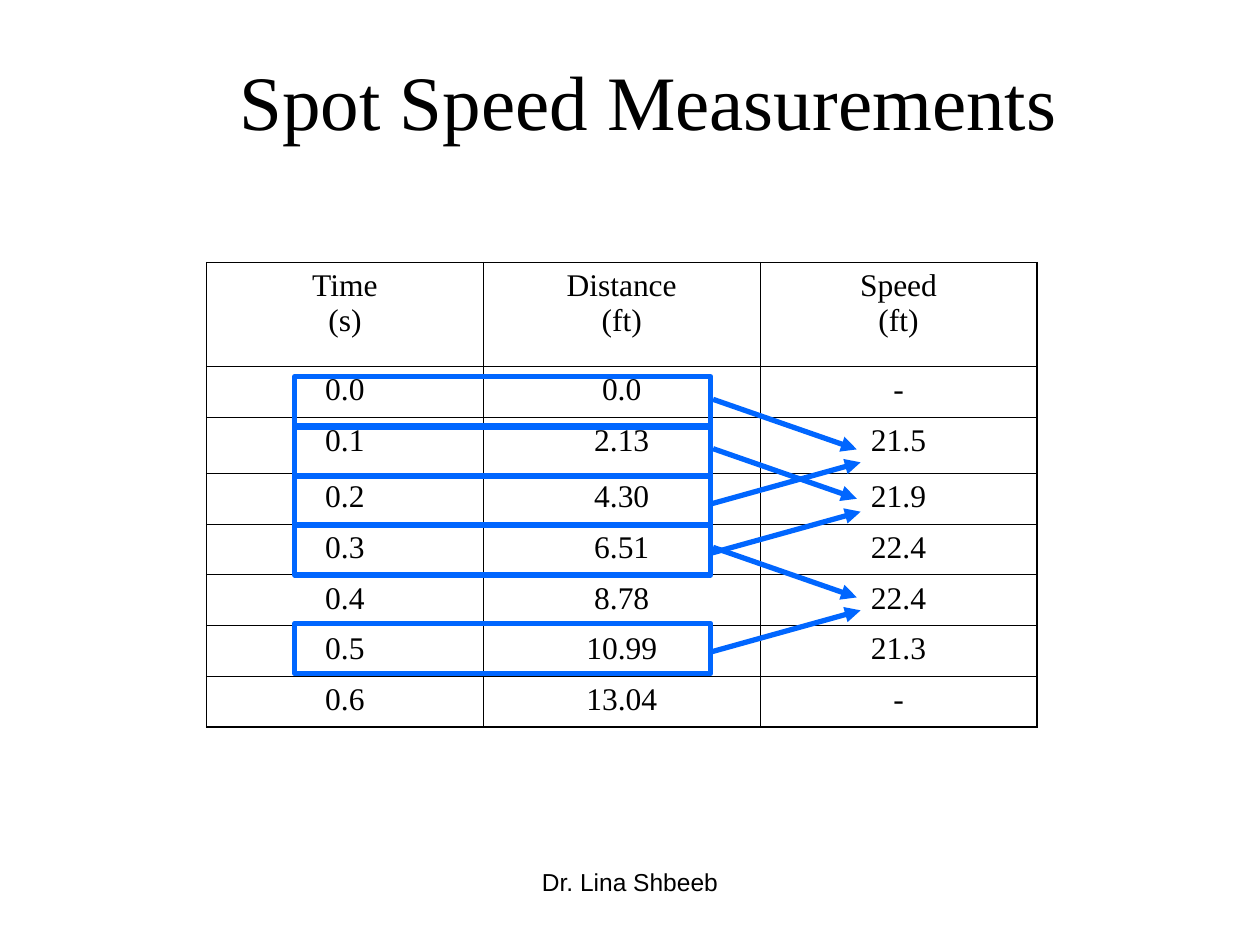
from lxml import etree
from pptx import Presentation
from pptx.dml.color import RGBColor
from pptx.enum import shapes, text
from pptx.oxml import ns
from pptx.util import Pt

TITLE = "Spot Speed Measurements"
FOOTER = "Dr. Lina Shbeeb"
ROWS = [
    ("Time\n(s)", "Distance\n(ft)", "Speed\n(ft)"),
    ("0.0", "0.0", "-"),
    ("0.1", "2.13", "21.5"),
    ("0.2", "4.30", "21.9"),
    ("0.3", "6.51", "22.4"),
    ("0.4", "8.78", "22.4"),
    ("0.5", "10.99", "21.3"),
    ("0.6", "13.04", "-"),
]
ROW_HEIGHTS = [59.4, 29, 32, 29, 29, 29, 29, 29]
COLUMN_WIDTH = 158.2
TABLE_LEFT, TABLE_TOP = 118, 150
OUTER, INNER = 1, 0.25

# Each speed comes from the readings one row before and one row after it.
FIRST_READINGS = [0, 1, 3]
FRAME_LEFT, FRAME_TOP, FRAME_WIDTH, FRAME_HEIGHT = 168.5, 215.2, 237.6, 28.8
FRAME_PITCH = 28.2
ARROWS = [  # start and end, measured from the first reading's frame
    ((407.5, 13), (489.6, 41.6)),
    ((406.1, 72.8), (491.8, 49)),
]

BLACK = RGBColor(0, 0, 0)
BLUE = RGBColor(0x00, 0x66, 0xFF)
SERIF, SANS = "Times New Roman", "Arial"


def write(frame, content, font_name, size):
    frame.text = content
    for para in frame.paragraphs:
        para.alignment = text.PP_ALIGN.CENTER
        for span in para.runs:
            span.font.name = font_name
            span.font.size = Pt(size)
            span.font.color.rgb = BLACK


def add_text(slide, area, content, font_name, size, anchor):
    box = slide.shapes.add_textbox(*map(Pt, area))
    box.text_frame.word_wrap = True
    box.text_frame.vertical_anchor = anchor
    write(box.text_frame, content, font_name, size)


def set_borders(cell, widths):
    """Draw black borders; widths are left, right, top, bottom."""
    properties = cell._tc.get_or_add_tcPr()
    for side, width in zip("LRTB", widths):
        line = etree.SubElement(properties, ns.qn(f"a:ln{side}"), w=str(Pt(width)))
        fill = etree.SubElement(line, ns.qn("a:solidFill"))
        etree.SubElement(fill, ns.qn("a:srgbClr"), val=str(BLACK))


def add_readings(slide):
    last_row, last_column = len(ROWS) - 1, len(ROWS[0]) - 1
    table = slide.shapes.add_table(
        len(ROWS), len(ROWS[0]), Pt(TABLE_LEFT), Pt(TABLE_TOP),
        Pt(COLUMN_WIDTH * len(ROWS[0])), Pt(sum(ROW_HEIGHTS))).table
    table.first_row = table.horz_banding = False
    for column in table.columns:
        column.width = Pt(COLUMN_WIDTH)
    for r, values in enumerate(ROWS):
        table.rows[r].height = Pt(ROW_HEIGHTS[r])
        for c, value in enumerate(values):
            cell = table.cell(r, c)
            write(cell.text_frame, value, SERIF, 18)
            edges = (c == 0, c == last_column, r == 0, r == last_row)
            set_borders(cell, [OUTER if edge else INNER for edge in edges])
            cell.fill.background()


def style_line(line):
    line.color.rgb = BLUE
    line.width = Pt(3)


def add_arrow(slide, start, end):
    arrow = slide.shapes.add_connector(
        shapes.MSO_CONNECTOR.STRAIGHT, *map(Pt, start + end))
    style_line(arrow.line)
    etree.SubElement(arrow.line._get_or_add_ln(), ns.qn("a:tailEnd"), type="triangle")
    etree.SubElement(arrow._element.spPr, ns.qn("a:effectLst"))


def add_frame(slide, reading):
    frame = slide.shapes.add_shape(
        shapes.MSO_SHAPE.RECTANGLE, Pt(FRAME_LEFT), Pt(FRAME_TOP + reading * FRAME_PITCH),
        Pt(FRAME_WIDTH), Pt(FRAME_HEIGHT))
    frame.shadow.inherit = False
    frame.fill.background()
    style_line(frame.line)


def main():
    deck = Presentation()
    deck.slide_width, deck.slide_height = Pt(720), Pt(540)
    slide = deck.slides.add_slide(deck.slide_layouts[6])
    add_text(slide, (246, 491.8, 228, 36), FOOTER, SANS, 14, text.MSO_ANCHOR.TOP)
    add_text(slide, (88.6, 28, 563.8, 57.6), TITLE, SERIF, 44, text.MSO_ANCHOR.MIDDLE)
    add_readings(slide)
    for first in FIRST_READINGS:
        top = FRAME_TOP + first * FRAME_PITCH
        for (x1, y1), (x2, y2) in ARROWS:
            add_arrow(slide, (x1, top + y1), (x2, top + y2))
    framed = {first + step for first in FIRST_READINGS for step in (0, 2)}
    for reading in sorted(framed):
        add_frame(slide, reading)
    deck.save("out.pptx")


if __name__ == "__main__":
    main()
